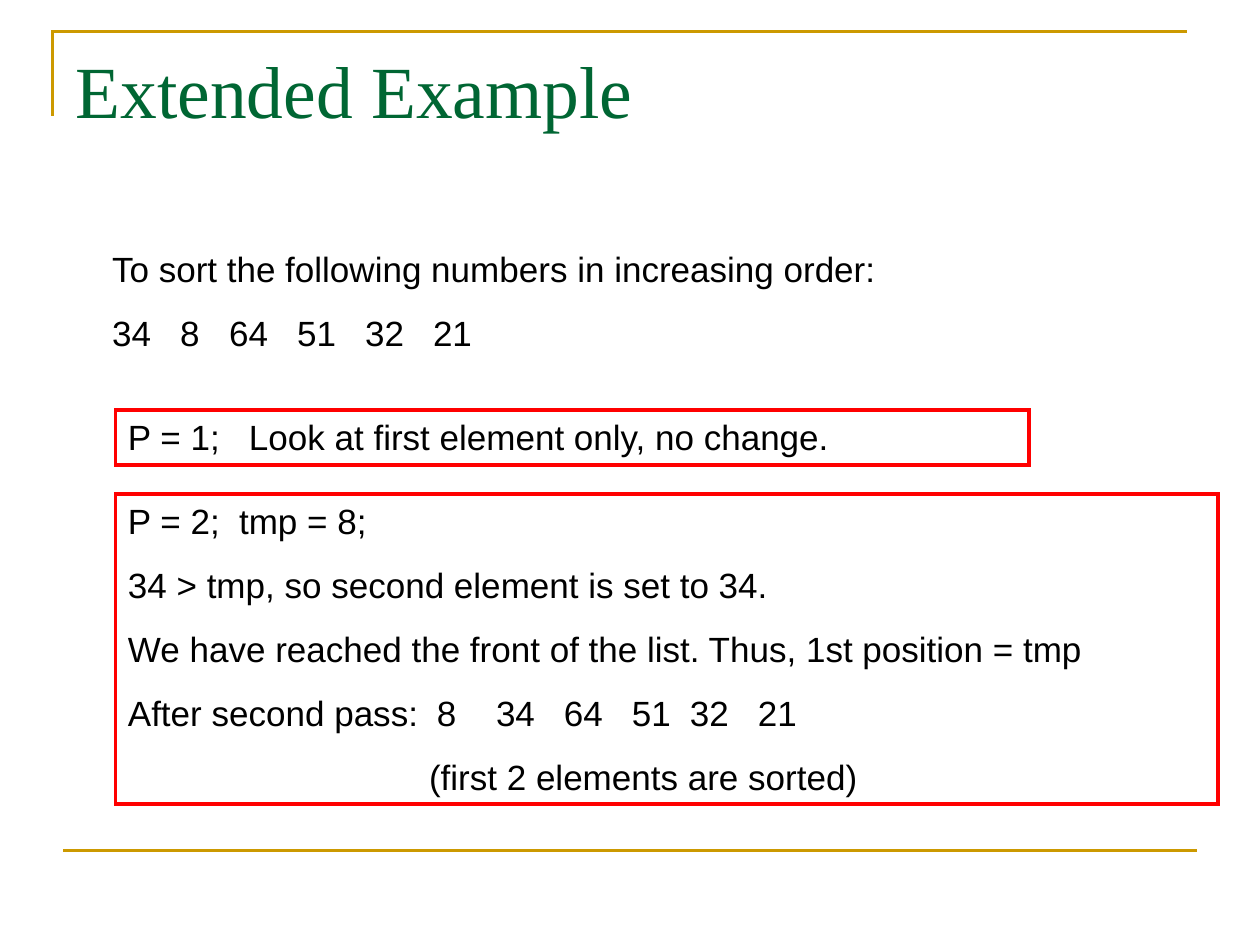
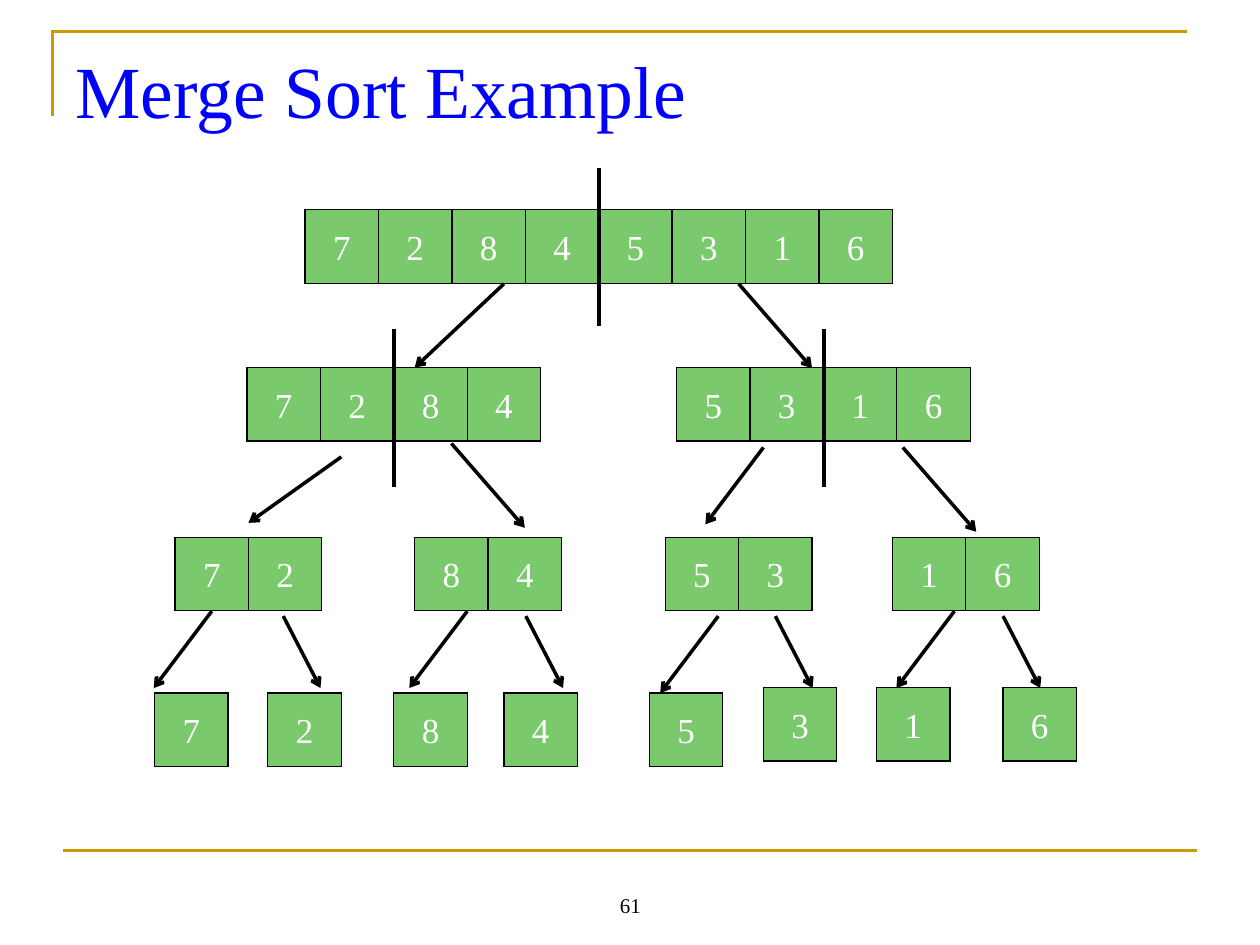
from lxml.etree import SubElement
from pptx import Presentation
from pptx.dml.color import RGBColor
from pptx.enum.shapes import MSO_CONNECTOR as Link, MSO_SHAPE as Form
from pptx.enum.text import MSO_ANCHOR as Anchor, MSO_AUTO_SIZE as Fit, PP_ALIGN as Align
from pptx.oxml.ns import qn
from pptx.util import Cm, Pt

GOLD = RGBColor(0xCC, 0x99, 0x00)
DARK = RGBColor(0x00, 0x66, 0x33)
BLUE = RGBColor(0x00, 0x00, 0xFF)
RED = RGBColor(0xFF, 0x00, 0x00)
LEAF = RGBColor(0x7A, 0xC9, 0x6C)
BLACK = RGBColor(0x00, 0x00, 0x00)
WHITE = RGBColor(0xFF, 0xFF, 0xFF)
SERIF, SANS = "Times New Roman", "Arial"

# Pass notes: each line is (text, tab stops in cm, left indent in cm)
TASK = [
    ("To sort the following numbers in increasing order:", (), 0),
    ("34\t8\t64\t51\t32\t21", (1.37, 2.36, 3.73, 5.1, 6.47), 0),
]
FIRST = [("P = 1;\tLook at first element only, no change.", (2.44,), 0)]
SECOND = [
    ("P = 2;\ttmp = 8;", (2.24,), 0),
    ("34 > tmp, so second element is set to 34.", (), 0),
    ("We have reached the front of the list. Thus, 1st position = tmp", (), 0),
    ("After second pass:\t8\t34\t64\t51\t32\t21",
     (6.23, 7.42, 8.79, 10.16, 11.33, 12.7), 0),
    ("(first 2 elements are sorted)", (), 6.07),
]

# Merge tree in cm: each list of cells is (left, top, digits)
CELL = 1.48
LISTS = [
    (6.15, 4.23, "72845316"),
    (4.98, 7.41, "7284"), (13.64, 7.41, "5316"),
    (3.53, 10.83, "72"), (8.36, 10.83, "84"),
    (13.41, 10.83, "53"), (17.99, 10.83, "16"),
    (3.12, 13.97, "7"), (5.4, 13.97, "2"), (7.94, 13.97, "8"),
    (10.16, 13.97, "4"), (13.09, 13.97, "5"),
    (15.39, 13.86, "3"), (17.67, 13.86, "1"), (20.22, 13.86, "6"),
]
CUTS = [(12.07, 3.39), (7.94, 6.63), (16.62, 6.63)]
CUT = 3.18

# Arrows by their run and drop, with the points they start from
ARROWS = {
    (-1.8, 1.69): [(10.16, 5.72)],
    (-1.87, 1.33): [(6.88, 9.21)],
    (1.48, 1.7): [(14.89, 5.72), (9.1, 8.94), (18.2, 9.02)],
    (-1.17, 1.55): [(15.39, 9.02), (4.27, 12.32), (9.42, 12.32),
                    (14.48, 12.42), (19.24, 12.32)],
    (0.75, 1.45): [(5.71, 12.42), (10.6, 12.42), (15.63, 12.42), (20.22, 12.42)],
}


def add_run(para, text, size, font, color):
    run = para.add_run()
    run.text = text
    run.font.size = Pt(size)
    run.font.name = font
    run.font.color.rgb = color


def set_edge(shape, color, width):
    """Give a shape a plain line with sharp corners and no shadow."""
    shape.shadow.inherit = False
    shape.line.color.rgb = color
    shape.line.width = Pt(width)
    SubElement(shape.line._get_or_add_ln(), qn("a:miter"), lim="800000")


def add_line(slide, start, end, color, width, arrow=False):
    ends = [Cm(value) for value in (*start, *end)]
    line = slide.shapes.add_connector(Link.STRAIGHT, *ends)
    line.line.color.rgb = color
    line.line.width = Pt(width)
    if arrow:
        SubElement(line.line._get_or_add_ln(), qn("a:tailEnd"), type="arrow")
    SubElement(line.element.spPr, qn("a:effectLst"))
    return line


def add_frame(slide, layout):
    """Draw the gold lines and hand them to the layout, for all slides."""
    pen = slide.shapes.build_freeform(Cm(1.06), Cm(2.33))
    pen.add_line_segments([(Cm(1.06), Cm(0.64)), (Cm(23.92), Cm(0.64))], close=False)
    corner = pen.convert_to_shape()
    corner.fill.background()
    set_edge(corner, GOLD, 1.5)
    base = add_line(slide, (1.27, 17.15), (24.13, 17.15), GOLD, 1.5)
    for part in (corner, base):
        layout.shapes.element.append(part.element)


def set_title(slide, text, color):
    title = slide.shapes.title
    title.left, title.top = Cm(1.27), Cm(0.76)
    title.width, title.height = Cm(22.86), Cm(3.18)
    frame = title.text_frame
    frame.auto_size = Fit.NONE
    frame.vertical_anchor = Anchor.TOP
    frame.margin_top = Cm(0.15)
    para = frame.paragraphs[0]
    para.alignment = Align.LEFT
    add_run(para, text, 42, SERIF, color)


def set_tabs(para, stops):
    tabs = SubElement(para._p.get_or_add_pPr(), qn("a:tabLst"))
    for stop in stops:
        SubElement(tabs, qn("a:tab"), pos=str(Cm(stop)), algn="l")


def add_note(slide, left, top, width, height, lines, edge=None):
    """Add a block of text lines, with an outline if edge is given."""
    area = Cm(left), Cm(top), Cm(width), Cm(height)
    if edge is None:
        box = slide.shapes.add_textbox(*area)
    else:
        box = slide.shapes.add_shape(Form.RECTANGLE, *area)
        box.fill.background()
        set_edge(box, edge, 2.25)
    frame = box.text_frame
    frame.word_wrap = True
    frame.vertical_anchor = Anchor.TOP
    frame.margin_top = Cm(0.11)
    for i, (text, stops, indent) in enumerate(lines):
        para = frame.add_paragraph() if i else frame.paragraphs[0]
        if stops:
            set_tabs(para, stops)
        if indent:
            para._p.get_or_add_pPr().set("marL", str(Cm(indent)))
        para.alignment = Align.LEFT
        if i:
            para.space_before = Pt(12.5)
        add_run(para, text, 20, SANS, BLACK)


def add_cell(slide, left, top, digit):
    cell = slide.shapes.add_shape(
        Form.RECTANGLE, Cm(left), Cm(top), Cm(CELL), Cm(CELL))
    cell.fill.solid()
    cell.fill.fore_color.rgb = LEAF
    set_edge(cell, BLACK, 0.75)
    frame = cell.text_frame
    frame.word_wrap = False
    frame.vertical_anchor = Anchor.MIDDLE
    para = frame.paragraphs[0]
    para.alignment = Align.CENTER
    add_run(para, digit, 20, SERIF, WHITE)


def add_number(slide, text):
    box = slide.shapes.add_textbox(Cm(8.69), Cm(17.36), Cm(8.04), Cm(1.27))
    frame = box.text_frame
    frame.word_wrap = True
    frame.vertical_anchor = Anchor.BOTTOM
    para = frame.paragraphs[0]
    para.alignment = Align.CENTER
    add_run(para, text, 12, SERIF, BLACK)


def add_tree(slide):
    for left, top, digits in LISTS:
        for i, digit in enumerate(digits):
            add_cell(slide, left + i * CELL, top, digit)
    for x, y in CUTS:
        add_line(slide, (x, y), (x, y + CUT), BLACK, 2.25)
    for (run, drop), starts in ARROWS.items():
        for x, y in starts:
            add_line(slide, (x, y), (x + run, y + drop), BLACK, 2, arrow=True)


def main():
    deck = Presentation()
    deck.slide_width, deck.slide_height = Cm(25.4), Cm(19.05)
    layout = deck.slide_layouts[5]

    # Insertion sort, first two passes
    slide = deck.slides.add_slide(layout)
    add_frame(slide, layout)
    set_title(slide, "Extended Example", DARK)
    add_note(slide, 2.01, 4.88, 21.39, 2.39, TASK)
    add_note(slide, 2.33, 8.26, 18.42, 1.12, FIRST, RED)
    add_note(slide, 2.33, 9.96, 22.23, 6.25, SECOND, RED)

    # Merge sort, splitting the list
    slide = deck.slides.add_slide(layout)
    set_title(slide, "Merge Sort Example", BLUE)
    add_number(slide, "61")
    add_tree(slide)

    deck.save("out.pptx")


if __name__ == "__main__":
    main()
